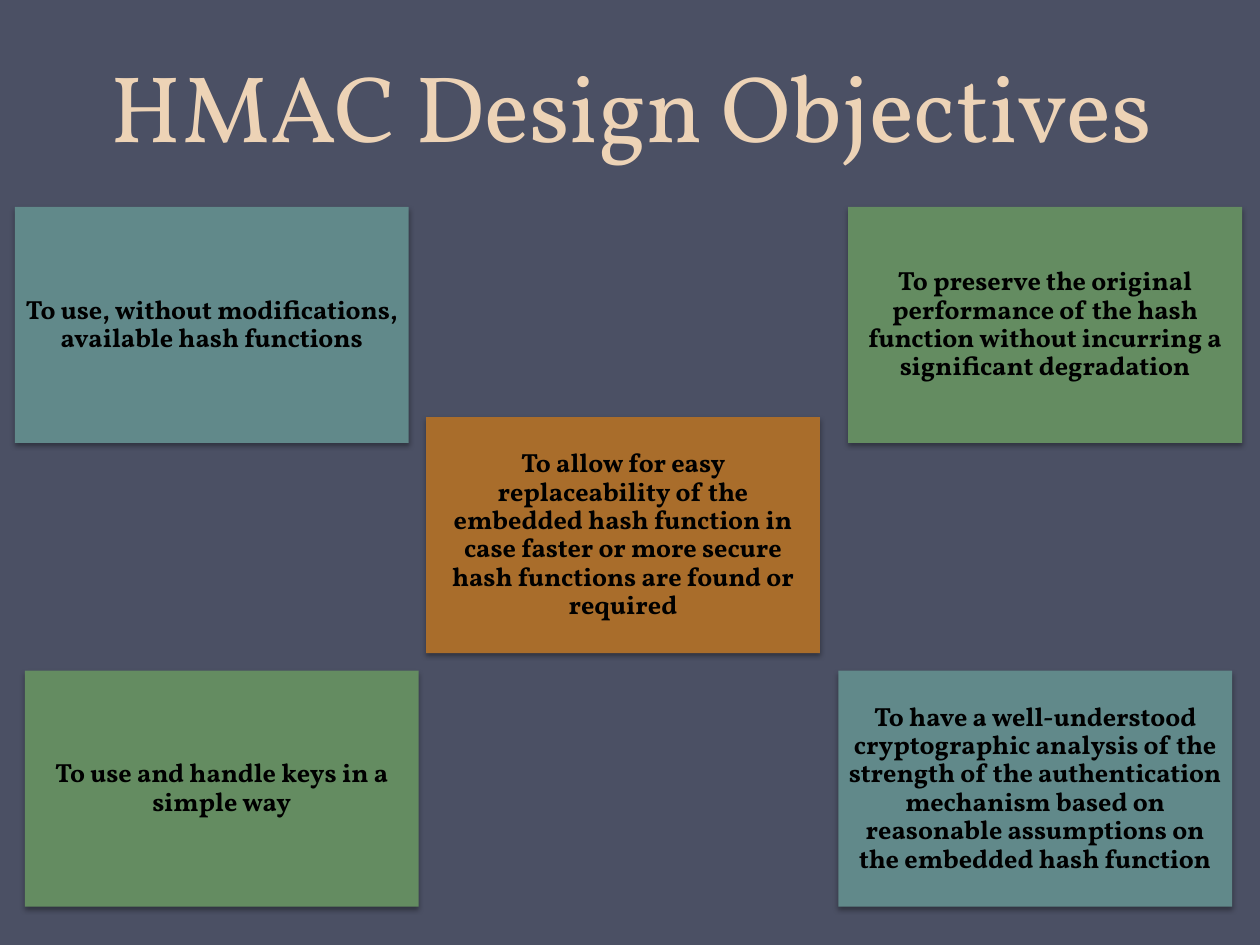
from lxml import etree
from pptx import Presentation
from pptx import util as u
from pptx.dml.color import RGBColor
from pptx.enum import shapes, text
from pptx.oxml.ns import qn

SLATE = RGBColor(0x4B, 0x50, 0x64)
SAND = RGBColor(0xED, 0xD3, 0xB6)
TEAL = RGBColor(0x61, 0x89, 0x8A)
GREEN = RGBColor(0x64, 0x8C, 0x61)
ORANGE = RGBColor(0xA9, 0x6D, 0x2B)
BLACK = RGBColor(0, 0, 0)

# Content: text, fill, left and top in cm
TITLE = "HMAC Design Objectives"
TOP, MIDDLE, BOTTOM = 4.17, 8.41, 13.52
OBJECTIVES = [
    ("To use, without modifications, available hash functions", TEAL, 0.3, TOP),
    ("To allow for easy replaceability of the embedded hash function in case "
     "faster or more secure hash functions are found or required", ORANGE, 8.59, MIDDLE),
    ("To preserve the original performance of the hash function without "
     "incurring a significant degradation", GREEN, 17.1, TOP),
    ("To use and handle keys in a simple way", GREEN, 0.5, BOTTOM),
    ("To have a well-understood cryptographic analysis of the strength of the "
     "authentication mechanism based on reasonable assumptions on the embedded "
     "hash function", TEAL, 16.9, BOTTOM),
]
CARD_W, CARD_H = u.Cm(7.94), u.Cm(4.76)

TITLE_FONT = {"name": "Vollkorn", "size": u.Pt(54)}
CARD_FONT = {"name": "Vollkorn", "size": u.Pt(15), "bold": True}
CARD_FRAME = dict.fromkeys(
    ("margin_left", "margin_top", "margin_right", "margin_bottom"), u.Cm(0.15))


def write(sp, words, font, color, anchor, spacing, frame):
    tf = sp.text_frame
    tf.word_wrap = True
    tf.vertical_anchor = anchor
    for key, value in frame.items():
        setattr(tf, key, value)
    p = tf.paragraphs[0]
    p.alignment = text.PP_ALIGN.CENTER
    p.line_spacing = spacing
    r = p.add_run()
    r.text = words
    for key, value in font.items():
        setattr(r.font, key, value)
    r.font.color.rgb = color


def add_shadow(sp):
    sp.shadow.inherit = False
    effects = sp._element.spPr.find(qn("a:effectLst"))
    outer = etree.SubElement(effects, qn("a:outerShdw"), blurRad=str(u.Pt(3.1)),
                             dist=str(u.Pt(1.8)), dir="5400000", rotWithShape="0")
    color = etree.SubElement(outer, qn("a:srgbClr"), val=str(BLACK))
    etree.SubElement(color, qn("a:alpha"), val="35000")


prs = Presentation()
prs.slide_width, prs.slide_height = u.Cm(25.4), u.Cm(19.05)
s = prs.slides.add_slide(prs.slide_layouts[6])
s.background.fill.solid()
s.background.fill.fore_color.rgb = SLATE

# Title
sp = s.shapes.add_textbox(u.Cm(1.3), u.Cm(-1.07), u.Cm(22.86), u.Cm(4.45))
write(sp, TITLE, TITLE_FONT, SAND, text.MSO_ANCHOR.BOTTOM, u.Pt(58), {})

# Objective cards
for words, fill, left, top in OBJECTIVES:
    sp = s.shapes.add_shape(shapes.MSO_SHAPE.RECTANGLE, u.Cm(left), u.Cm(top),
                            CARD_W, CARD_H)
    sp.fill.solid()
    sp.fill.fore_color.rgb = fill
    sp.line.fill.background()
    add_shadow(sp)
    write(sp, words, CARD_FONT, BLACK, text.MSO_ANCHOR.MIDDLE, 0.9, CARD_FRAME)

prs.save("out.pptx")
